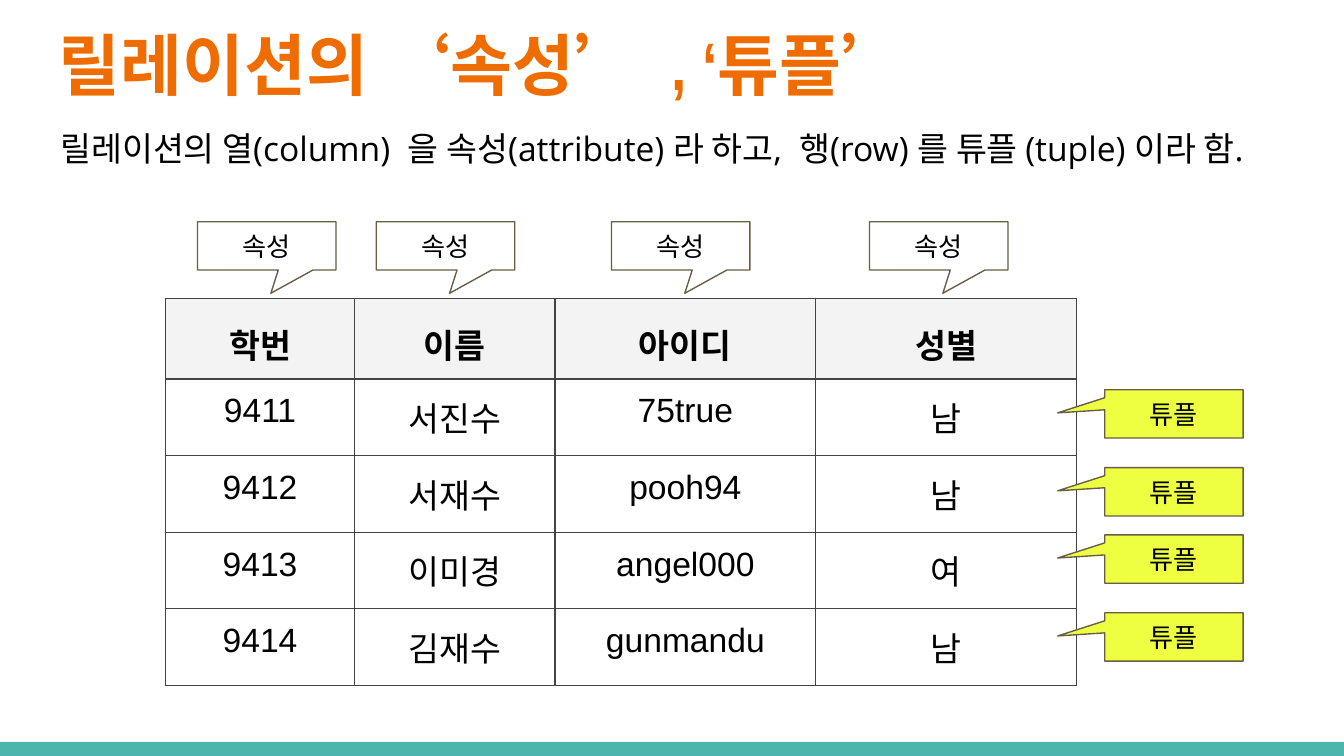
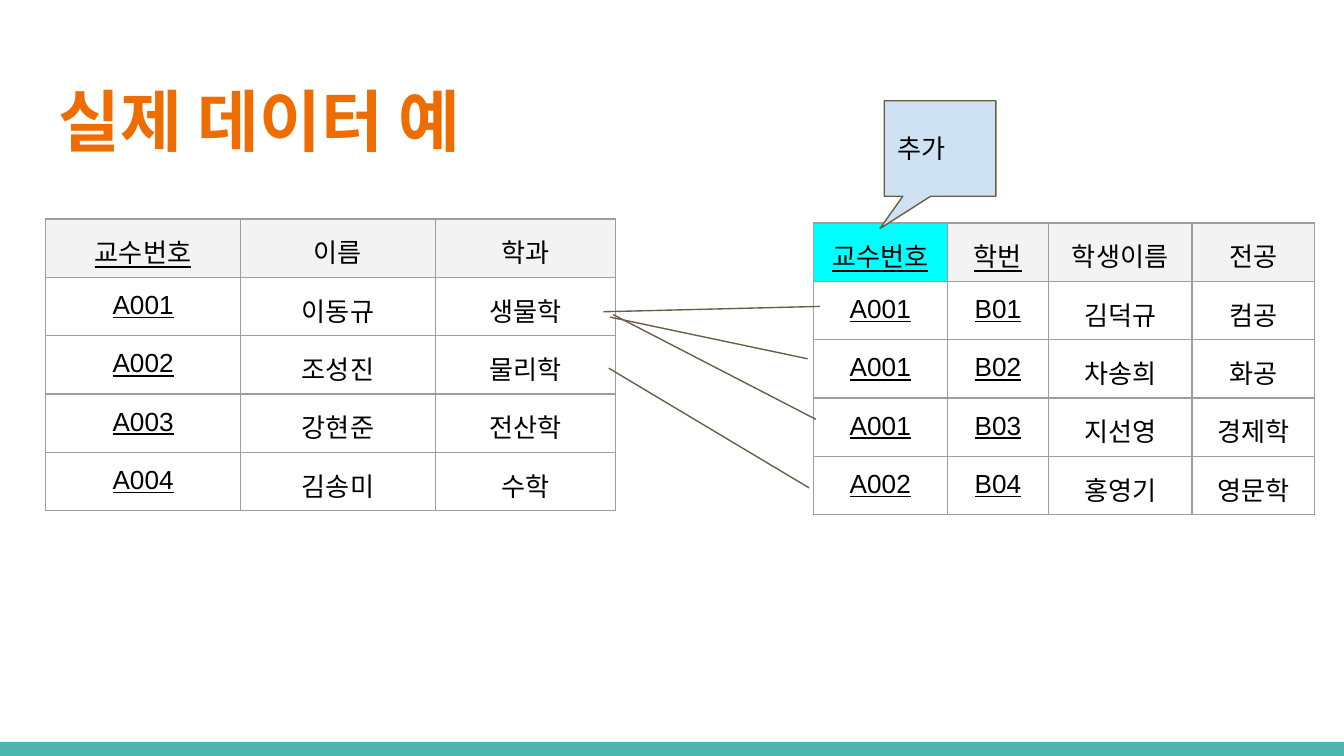
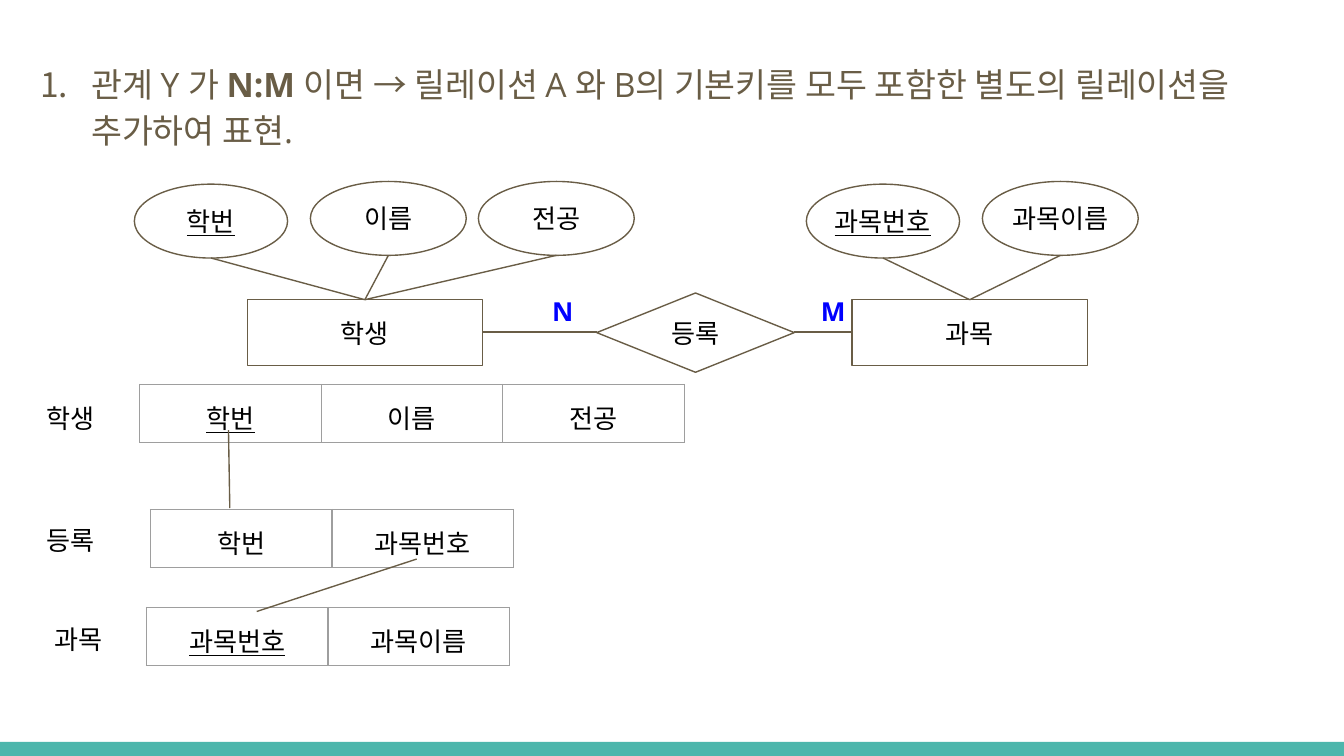
from dataclasses import dataclass

from lxml.etree import SubElement as sub
from pptx import Presentation
from pptx.dml.color import RGBColor as Rgb
from pptx.enum.shapes import MSO_CONNECTOR as Wire, MSO_SHAPE as Form
from pptx.enum.text import MSO_ANCHOR as Anchor, PP_ALIGN as Align
from pptx.oxml.ns import qn
from pptx.util import Inches, Pt

WHITE, BLACK, BROWN, TEAL = "FFFFFF", "000000", "695D46", "4DB6AC"
ORANGE, BLUE, LIME, SKY, CYAN = "EF6C00", "0000FF", "EEFF41", "CFE2F3", "00FFFF"
PALE, GRAY, DARK = "F3F3F3", "9E9E9E", "434343"
SANS, NARROW, OPEN = "Arial", "Arial Narrow", "Open Sans"
PAD = 0.1
THIN = 0.75


@dataclass
class Style:
    """Look of a run of text."""
    size: int = 14
    face: str = SANS
    color: str = BLACK
    bold: bool = False
    under: bool = False


@dataclass
class Box:
    """Preset shape with a line of text."""
    left: float
    top: float
    width: float
    height: float
    text: str
    form: Form = Form.RECTANGLE
    fill: str = WHITE
    under: bool = False
    tip: tuple = ()
    pad: float = 0
    align: Align = Align.CENTER

    @property
    def right(self) -> float:
        """Return the right edge."""
        return self.left + self.width

    @property
    def upper(self) -> tuple:
        """Return the middle of the top edge."""
        return self.left + self.width / 2, self.top

    @property
    def lower(self) -> tuple:
        """Return the middle of the bottom edge."""
        return self.left + self.width / 2, self.top + self.height


@dataclass
class Grid:
    """Table whose first columns may be underlined keys."""
    left: float
    top: float
    cols: list
    high: list
    rows: list
    keys: int = 0
    head: str = ""
    edge: str = GRAY
    size: int = 14
    bold: bool = False
    lead: float = 1.0


def rgb(code: str) -> Rgb:
    """Turn a hex string into a colour."""
    return Rgb.from_string(code)


def paint(run, style: Style) -> None:
    """Apply a style to a run."""
    font = run.font
    font.size, font.name = Pt(style.size), style.face
    font.bold, font.underline = style.bold, style.under
    font.color.rgb = rgb(style.color)


def inset(part, pad: float) -> None:
    """Set equal margins on a cell or text frame."""
    part.margin_left = part.margin_right = Inches(pad)
    part.margin_top = part.margin_bottom = Inches(pad)


def write(frame, text: str, style: Style, align: Align = Align.LEFT) -> None:
    """Fill a frame with one styled paragraph."""
    frame.text = text
    para = frame.paragraphs[0]
    para.alignment = align
    paint(para.runs[0], style)


def frame_at(slide, left: float, top: float, width: float, height: float):
    """Add a wrapping text box and return its frame."""
    shape = slide.shapes.add_textbox(Inches(left), Inches(top), Inches(width), Inches(height))
    frame = shape.text_frame
    frame.word_wrap = True
    inset(frame, PAD)
    return frame


def title(slide, text: str, top: float) -> None:
    """Add the slide title."""
    write(frame_at(slide, 0.34, top, 9.32, 0.77), text, Style(36, NARROW, ORANGE, True))


def draw_box(slide, box: Box) -> None:
    """Draw a shape with its text."""
    shape = slide.shapes.add_shape(box.form, Inches(box.left), Inches(box.top),
                                   Inches(box.width), Inches(box.height))
    shape.shadow.inherit = False
    for spot, value in enumerate(box.tip):
        shape.adjustments[spot] = value
    shape.fill.solid()
    shape.fill.fore_color.rgb = rgb(box.fill)
    shape.line.color.rgb = rgb(BROWN)
    shape.line.width = Pt(THIN)
    frame = shape.text_frame
    inset(frame, box.pad)
    frame.vertical_anchor = Anchor.MIDDLE
    write(frame, box.text, Style(under=box.under), box.align)


def draw_line(slide, start: tuple, end: tuple) -> None:
    """Draw a straight thin line."""
    line = slide.shapes.add_connector(Wire.STRAIGHT, *map(Inches, start + end))
    line.line.color.rgb = rgb(BROWN)
    line.line.width = Pt(THIN)
    sub(line._element.spPr, qn("a:effectLst"))


def border(cell, color: str) -> None:
    """Put a thin line on each side of a cell."""
    props = cell._tc.get_or_add_tcPr()
    for spot, side in enumerate(("lnL", "lnR", "lnT", "lnB")):
        line = props.makeelement(qn("a:" + side), {"w": str(Pt(THIN))})
        fill = sub(line, qn("a:solidFill"))
        sub(fill, qn("a:srgbClr"), val=color)
        props.insert(spot, line)


def draw_grid(slide, grid: Grid):
    """Draw a table and return it."""
    table = slide.shapes.add_table(
        len(grid.rows), len(grid.cols), Inches(grid.left), Inches(grid.top),
        Inches(sum(grid.cols)), Inches(sum(grid.high))).table
    table.first_row = table.horz_banding = False
    for col, width in zip(table.columns, grid.cols):
        col.width = Inches(width)
    for i, texts in enumerate(grid.rows):
        table.rows[i].height = Inches(grid.high[i])
        first = i == 0
        for j, text in enumerate(texts):
            cell = table.cell(i, j)
            inset(cell, PAD)
            style = Style(grid.size, bold=grid.bold and first, under=j < grid.keys)
            write(cell.text_frame, text, style, Align.CENTER)
            if first:
                cell.text_frame.paragraphs[0].line_spacing = grid.lead
            if first and grid.head:
                cell.fill.solid()
                cell.fill.fore_color.rgb = rgb(grid.head)
            else:
                cell.fill.background()
            border(cell, grid.edge)
    return table


def new_slide(deck):
    """Add a blank slide with the bottom band."""
    slide = deck.slides.add_slide(deck.slide_layouts[6])
    band = slide.shapes.add_shape(Form.RECTANGLE, 0, Inches(5.52), Inches(10), Inches(0.11))
    band.shadow.inherit = False
    band.fill.solid()
    band.fill.fore_color.rgb = rgb(TEAL)
    band.line.fill.background()
    return slide


def terms(deck) -> None:
    """Build the slide on attributes and tuples."""
    slide = new_slide(deck)
    title(slide, "릴레이션의 ‘속성’  , ‘튜플’", 0.07)
    draw_grid(slide, Grid(1.23, 2.22, [1.41, 1.49, 1.94, 1.94], [0.6] + [0.57] * 4, [
        ["학번", "이름", "아이디", "성별"],
        ["9411", "서진수", "75true", "남"],
        ["9412", "서재수", "pooh94", "남"],
        ["9413", "이미경", "angel000", "여"],
        ["9414", "김재수", "gunmandu", "남"],
    ], head=PALE, edge=DARK, size=18, bold=True, lead=1.15))
    form = Form.ROUNDED_RECTANGULAR_CALLOUT
    for left in (1.47, 2.8, 4.55, 6.47):
        draw_box(slide, Box(left, 1.65, 1.03, 0.36, "속성", form,
                            tip=(0.03, 0.98, 0), pad=PAD))
    for top in (2.9, 3.48, 3.98, 4.56):
        draw_box(slide, Box(8.22, top, 1.03, 0.36, "튜플", form, LIME,
                            tip=(-0.84, -0.02, 0), pad=PAD))
    write(frame_at(slide, 0.35, 0.85, 9.52, 0.59),
          "릴레이션의 열(column)  을 속성(attribute) 라 하고,  행(row) 를 튜플 (tuple) 이라 함.",
          Style(18, OPEN))


def sample(deck) -> None:
    """Build the slide with sample data."""
    slide = new_slide(deck)
    title(slide, "실제 데이터 예", 0.49)
    high = [0.42] * 5
    draw_grid(slide, Grid(0.34, 1.63, [1.45, 1.45, 1.34], high, [
        ["교수번호", "이름", "학과"],
        ["A001", "이동규", "생물학"],
        ["A002", "조성진", "물리학"],
        ["A003", "강현준", "전산학"],
        ["A004", "김송미", "수학"],
    ], keys=1, head=PALE))
    pupils = draw_grid(slide, Grid(6.05, 1.66, [1, 0.75, 1.07, 0.91], high, [
        ["교수번호", "학번", "학생이름", "전공"],
        ["A001", "B01", "김덕규", "컴공"],
        ["A001", "B02", "차송희", "화공"],
        ["A001", "B03", "지선영", "경제학"],
        ["A002", "B04", "홍영기", "영문학"],
    ], keys=2, head=PALE))
    pupils.cell(0, 0).fill.fore_color.rgb = rgb(CYAN)
    draw_box(slide, Box(6.58, 0.75, 0.83, 0.71, "추가", Form.ROUNDED_RECTANGULAR_CALLOUT,
                        SKY, tip=(-0.54, 0.84, 0), pad=PAD, align=Align.LEFT))
    for start, end in (((4.49, 2.32), (6.1, 2.28)), ((4.54, 2.36), (6.01, 2.67)),
                       ((4.56, 2.34), (6.07, 3.12)), ((4.53, 2.74), (6.02, 3.63))):
        draw_line(slide, start, end)


def rule(slide) -> None:
    """Write the numbered rule."""
    para = frame_at(slide, 0.08, 0.33, 9.69, 0.96).paragraphs[0]
    para.line_spacing = 1.15
    props = para._p.get_or_add_pPr()
    props.set("marL", str(Inches(0.5)))
    props.set("indent", str(Inches(-0.38)))
    sub(sub(props, qn("a:buClr")), qn("a:srgbClr"), val=BROWN)
    sub(props, qn("a:buFont"), typeface=OPEN)
    sub(props, qn("a:buAutoNum"), type="arabicPeriod")
    for text, bold in (("관계 Y 가 ", False), ("N:M", True),
                       (" 이면 → 릴레이션 A 와 B의 기본키를 모두 포함한 별도의 "
                        "릴레이션을 추가하여 표현.", False)):
        run = para.add_run()
        run.text = text
        paint(run, Style(18, OPEN, BROWN, bold))


def many(deck) -> None:
    """Build the slide on many-to-many links."""
    slide = new_slide(deck)
    rule(slide)
    pupil = Box(1.84, 2.23, 1.75, 0.49, "학생")
    course = Box(6.34, 2.23, 1.75, 0.49, "과목")
    enrol = Box(4.44, 2.18, 1.47, 0.59, "등록", Form.DIAMOND)
    oval = Form.OVAL
    fields = [
        (pupil, Box(1, 1.37, 1.14, 0.55, "학번", oval, under=True)),
        (pupil, Box(2.31, 1.35, 1.16, 0.55, "이름", oval)),
        (pupil, Box(3.56, 1.35, 1.16, 0.55, "전공", oval)),
        (course, Box(6, 1.37, 1.14, 0.55, "과목번호", oval, under=True)),
        (course, Box(7.31, 1.35, 1.16, 0.55, "과목이름", oval)),
    ]
    for box in (pupil, enrol, course):
        draw_box(slide, box)
    for owner, field in fields:
        draw_box(slide, field)
        draw_line(slide, field.lower, owner.upper)
    for one, two in ((pupil, enrol), (enrol, course)):
        draw_line(slide, (one.right, 2.47), (two.left, 2.47))
    for text, left in (("N", 4.01), ("M", 6.01)):
        write(frame_at(slide, left, 2.1, 0.32, 0.32), text, Style(14, OPEN, BLUE, True))
    for name, place, spot, texts, keys in (
            ("학생", (0.25, 2.89), (1.04, 2.86), ["학번", "이름", "전공"], 1),
            ("등록", (0.25, 3.8), (1.12, 3.79), ["학번", "과목번호"], 0),
            ("과목", (0.31, 4.54), (1.09, 4.52), ["과목번호", "과목이름"], 1)):
        write(frame_at(slide, *place, 0.73, 0.39), name, Style(14, OPEN))
        draw_grid(slide, Grid(*spot, [1.35] * len(texts), [0.43], [texts], keys))
    draw_line(slide, (1.7, 3.2), (1.71, 3.78))
    draw_line(slide, (3.1, 4.16), (1.91, 4.55))


def main() -> None:
    """Build and save the deck."""
    deck = Presentation()
    deck.slide_width = Inches(10)
    deck.slide_height = deck.slide_width * 9 // 16
    for build in (terms, sample, many):
        build(deck)
    deck.save("out.pptx")


if __name__ == "__main__":
    main()
